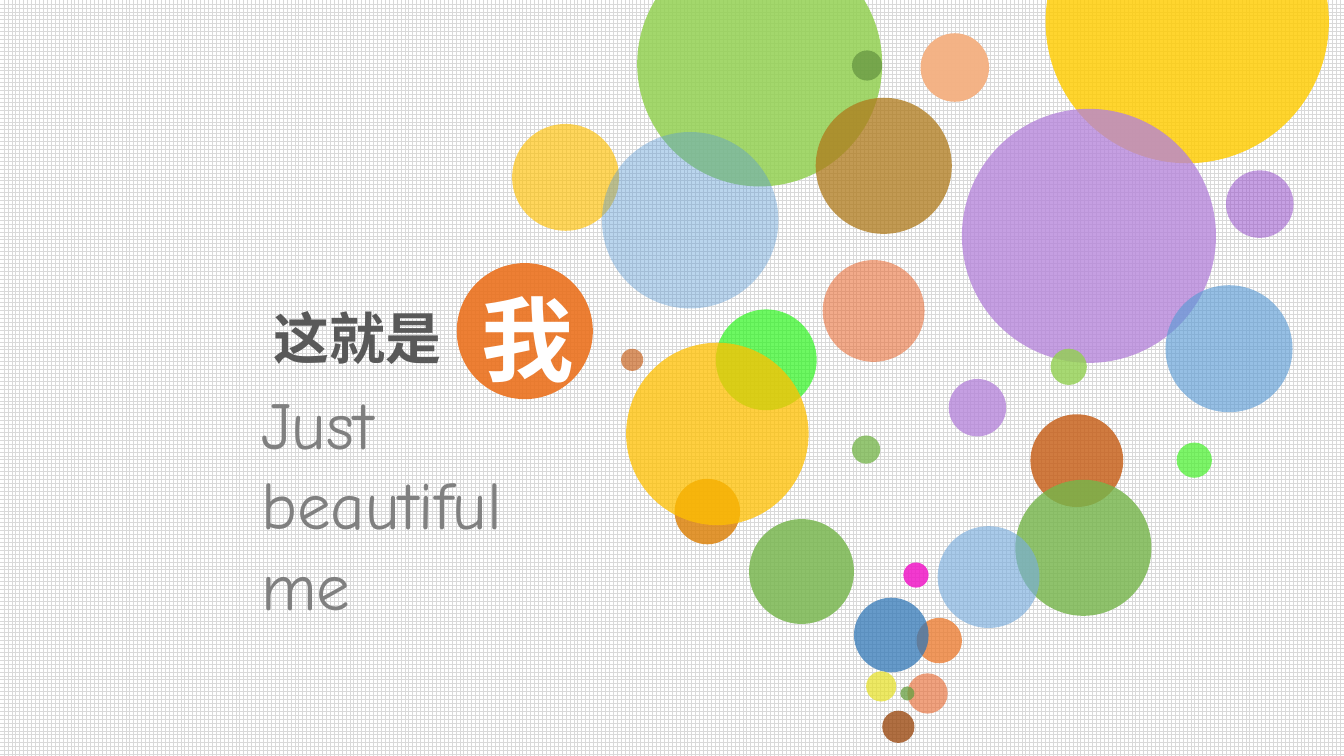
import pptx
import pptx.util
import pptx.dml.color
import pptx.enum.dml
import pptx.enum.shapes
import pptx.enum.text
import pptx.oxml.ns
import lxml.etree

Inches = pptx.util.Inches
Color = pptx.dml.color.RGBColor
Align = pptx.enum.text.PP_ALIGN
Anchor = pptx.enum.text.MSO_ANCHOR
qn = pptx.oxml.ns.qn

WHITE = Color(0xFF, 0xFF, 0xFF)
GRID = Color(0xD9, 0xD9, 0xD9)
DARK = Color(0x59, 0x59, 0x59)
GRAY = Color(0x80, 0x80, 0x80)
TANGERINE = Color(0xEB, 0x6E, 0x19)
AMBER = Color(0xDC, 0x80, 0x06)
NEON = Color(0x26, 0xF6, 0x16)
LIME = Color(0x92, 0xD0, 0x50)
GOLD = Color(0xFF, 0xC0, 0x00)
OCHRE = Color(0xAF, 0x7B, 0x1D)
PEACH = Color(0xF4, 0xB1, 0x83)
YELLOW = Color(0xFF, 0xCC, 0x00)
BLUE = Color(0x5B, 0x9B, 0xD5)
LILAC = Color(0xB4, 0x82, 0xDA)
CORAL = Color(0xE9, 0x6E, 0x37)
PURPLE = Color(0x95, 0x4D, 0xCB)
RUST = Color(0xC5, 0x5A, 0x11)
FOREST = Color(0x54, 0x82, 0x35)
MINT = Color(0x44, 0xF1, 0x27)
GRASS = Color(0x76, 0xB5, 0x4B)
LEAF = Color(0x78, 0xB6, 0x4E)
SKY = Color(0x79, 0xAD, 0xDD)
PINK = Color(0xF0, 0x18, 0xC7)
ORANGE = Color(0xEC, 0x7C, 0x30)
NAVY = Color(0x2E, 0x75, 0xB6)
LEMON = Color(0xE6, 0xE1, 0x23)
BROWN = Color(0x9A, 0x47, 0x0E)
MOSS = Color(0x68, 0xA0, 0x42)

HAN = "Noto Sans CJK SC"
LATIN = "Comic Neue"

BUBBLES = [
    (1.69, 4.75, 0.65, AMBER, 82),
    (2.1, 3.07, 1, NEON, 67),
    (1.32, -0.58, 2.43, LIME, 84),
    (0.08, 1.23, 1.06, GOLD, 64),
    (3.09, 0.97, 1.35, OCHRE, 76),
    (4.13, 0.33, 0.68, PEACH, 97),
    (5.37, -1.19, 2.81, YELLOW, 82),
    (0.97, 1.31, 1.75, BLUE, 42),
    (4.54, 1.08, 2.52, LILAC, 76),
    (3.16, 2.58, 1.01, CORAL, 58),
    (6.56, 2.83, 1.26, BLUE, 64),
    (1.21, 3.4, 1.81, GOLD, 75),
    (7.16, 1.69, 0.67, PURPLE, 53),
    (4.41, 3.76, 0.57, LILAC, 76),
    (1.16, 3.46, 0.22, RUST, 64),
    (3.45, 0.5, 0.3, FOREST, 57),
    (5.42, 3.46, 0.36, LIME, 80),
    (5.22, 4.11, 0.92, RUST, 80),
    (6.67, 4.39, 0.35, MINT, 69),
    (5.07, 4.76, 1.35, GRASS, 81),
    (3.45, 4.32, 0.28, LEAF, 78),
    (2.43, 5.15, 1.04, LEAF, 84),
    (4.3, 5.22, 1.01, SKY, 64),
    (3.96, 5.58, 0.25, PINK, 85),
    (4.09, 6.13, 0.45, ORANGE, 78),
    (3.47, 5.93, 0.74, NAVY, 73),
    (3.59, 6.66, 0.3, LEMON, 70),
    (4, 6.68, 0.4, CORAL, 64),
    (3.75, 7.05, 0.32, BROWN, 78),
    (3.93, 6.81, 0.14, MOSS, 76),
]


def add_bubble(slide, left, top, size, color, alpha):
    """Draw one see-through circle, with alpha in percent."""
    bubble = slide.shapes.add_shape(
        pptx.enum.shapes.MSO_SHAPE.OVAL,
        Inches(left), Inches(top), Inches(size), Inches(size))
    bubble.shadow.inherit = False
    bubble.line.fill.background()
    bubble.fill.solid()
    bubble.fill.fore_color.rgb = color
    tone = bubble.fill._xPr.find(qn("a:solidFill"))[0]
    lxml.etree.SubElement(tone, qn("a:alpha"), val=str(alpha * 1000))
    return bubble


def set_text(shape, text, face, size, color, bold, align):
    """Write one styled paragraph into a shape."""
    shape.text_frame.text = text
    para = shape.text_frame.paragraphs[0]
    para.alignment = align
    para.line_spacing = 1.0
    para.space_before = pptx.util.Pt(0)
    font = para.font
    font.name, font.size, font.bold = face, pptx.util.Pt(size), bold
    font.color.rgb = color
    latin = font._element.find(qn("a:latin"))
    latin.addnext(latin.makeelement(qn("a:ea"), {"typeface": face}))


def place(holder, left, top, width, height, wrap):
    """Move a placeholder and let it grow from its top edge."""
    holder.left, holder.top = Inches(left), Inches(top)
    holder.width, holder.height = Inches(width), Inches(height)
    frame = holder.text_frame
    frame.word_wrap = wrap
    frame.vertical_anchor = Anchor.TOP
    frame.auto_size = pptx.enum.text.MSO_AUTO_SIZE.SHAPE_TO_FIT_TEXT


def add_heading(slide, left, top):
    """Set the title, its round badge and the subtitle."""
    title, motto = slide.shapes.title, slide.placeholders[1]
    set_text(title, "这就是", HAN, 40, DARK, True, Align.LEFT)
    place(title, left + 0.12, top + 0.35, 1.89, 0.77, False)
    set_text(motto, "Just beautiful me", LATIN, 48, GRAY, False, Align.LEFT)
    place(motto, left, top + 1.13, 3.6, 0.91, True)
    badge = add_bubble(slide, left + 2.04, top, 1.35, TANGERINE, 88)
    set_text(badge, "我", HAN, 66, WHITE, True, Align.CENTER)
    badge.text_frame.vertical_anchor = Anchor.MIDDLE
    badge.text_frame._txBody.bodyPr.set("vert", "eaVert")


def add_cloud(slide, left, top):
    """Scatter the bubbles from back to front."""
    for x, y, size, color, alpha in BUBBLES:
        add_bubble(slide, left + x, top + y, size, color, alpha)


def set_back(slide):
    """Fill the background with a light grid."""
    fill = slide.background.fill
    fill.patterned()
    fill.pattern = pptx.enum.dml.MSO_PATTERN.LARGE_GRID
    fill.fore_color.rgb = GRID
    fill.back_color.rgb = WHITE


deck = pptx.Presentation()
deck.slide_width, deck.slide_height = Inches(13.33), Inches(7.5)
cover = deck.slides.add_slide(deck.slide_layouts[0])
set_back(cover)
add_heading(cover, 2.49, 2.61)
add_cloud(cover, 5, 0)
deck.save("out.pptx")
